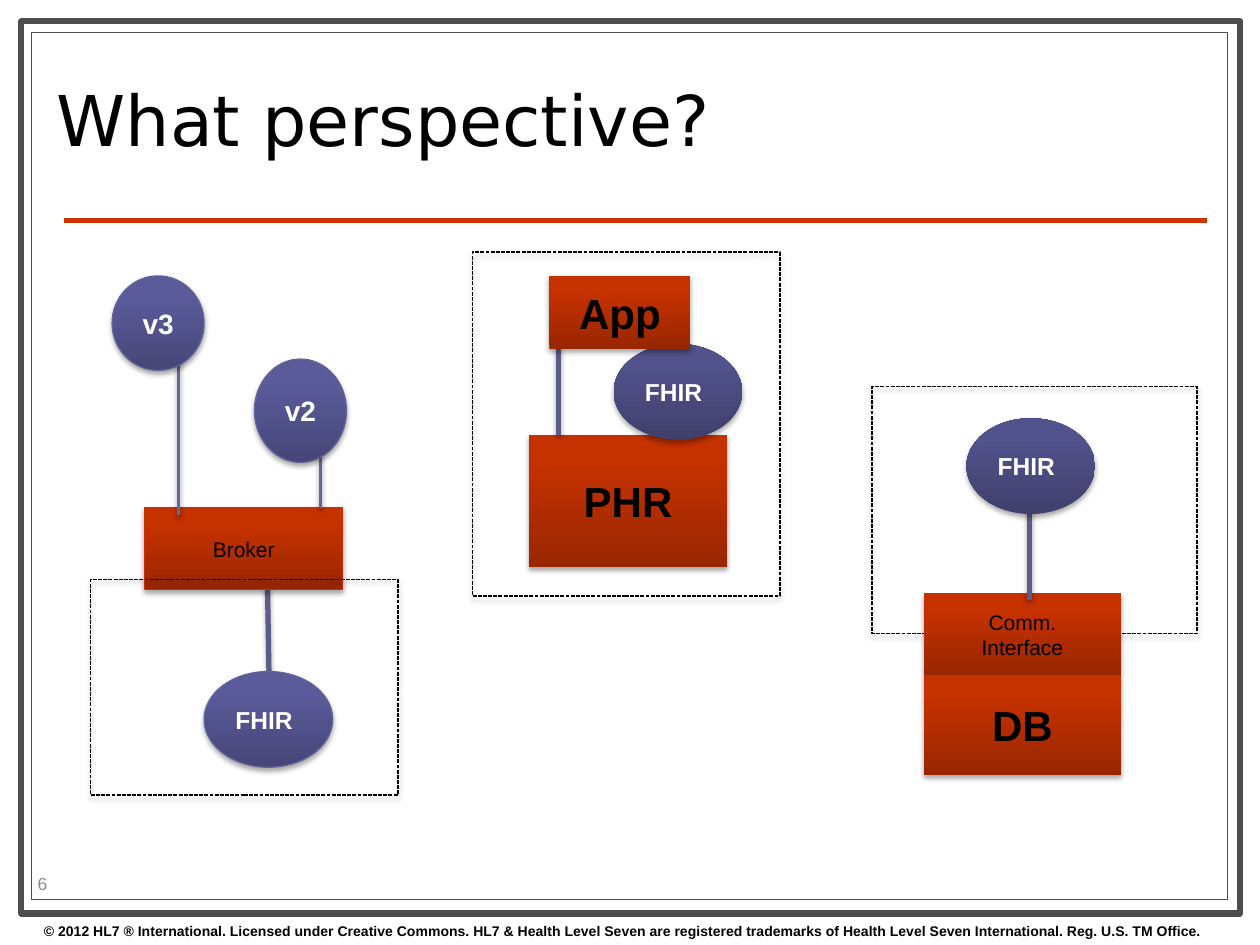
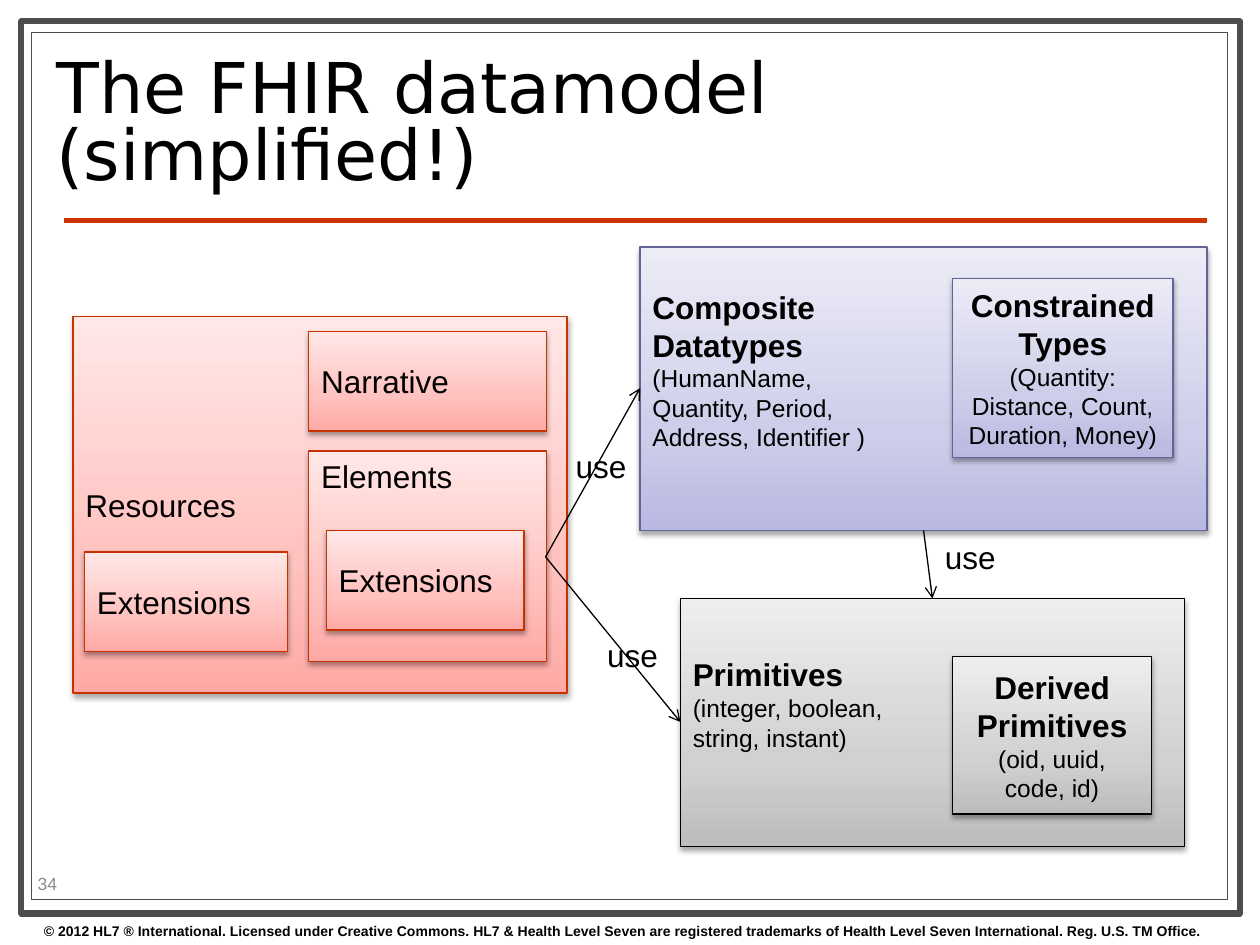
"""Build two slides on FHIR perspectives and its simplified data model."""
from dataclasses import dataclass

from lxml.etree import SubElement
from pptx import Presentation
from pptx.dml.color import RGBColor
from pptx.enum.dml import MSO_LINE
from pptx.enum.shapes import MSO_CONNECTOR, MSO_SHAPE
from pptx.enum.text import MSO_ANCHOR, MSO_AUTO_SIZE, PP_ALIGN
from pptx.oxml.ns import qn
from pptx.util import Inches, Pt

COPYRIGHT = (
    "© 2012 HL7 ® International. Licensed under Creative Commons. "
    "HL7 & Health Level Seven are registered trademarks of "
    "Health Level Seven International. Reg. U.S. TM Office."
)


@dataclass(frozen=True)
class Theme:
    title_font: str = "DejaVu Sans"
    body_font: str = "Arial"
    black: str = "000000"
    white: str = "FFFFFF"
    frame: str = "4D4D4D"
    rule: str = "CC3300"
    number: str = "8C8C8C"
    red_line: str = "C83200"
    purple_line: str = "636397"
    link: str = "5C5C8A"
    thin_link: str = "666699"
    red: tuple = ((0, "982600"), (80, "C63100"), (100, "C73200"))
    purple: tuple = ((0, "464678"), (80, "5B5B9C"), (100, "5B5B9E"))
    dark_purple: tuple = ((0, "40406C"), (80, "52528C"), (100, "52528E"))
    pink: tuple = ((0, "FFA9A5"), (35, "FFC2BF"), (100, "FFE8E7"))
    gray: tuple = ((0, "BDBDBD"), (35, "D1D1D1"), (100, "EEEEEE"))
    lilac: tuple = ((0, "B9B9E2"), (35, "CECEEA"), (100, "ECECF7"))
    title_size: int = 40
    large: int = 24
    heading: int = 18
    version: int = 16
    detail: int = 14
    label: int = 12
    number_size: int = 10
    footer_size: int = 8


THEME = Theme()


class SlideBuilder:
    """Hold the theme and the current slide, and draw each kind of element."""

    def __init__(self, deck, theme):
        self.deck = deck
        self.theme = theme
        self.slide = None

    def new_slide(self, title, number):
        theme = self.theme
        self.slide = self.deck.slides.add_slide(self.deck.slide_layouts[5])
        for area, width in (((0.17, 0.17, 9.67, 7.08), 3.5),
                            ((0.25, 0.26, 9.49, 6.88), 0.75)):
            self.shape(area, line=theme.frame, line_width=width, shadow=False)
        self.line((0.51, 1.75), (9.58, 1.75), theme.rule, 3)
        self.textbox((0.25, 7.27, 9.7, 0.23), COPYRIGHT, theme.footer_size, bold=True)
        self.title(title)
        box = self.textbox((0.2, 6.89, 0.79, 0.24), number, theme.number_size,
                           color=theme.number)
        box.text_frame.vertical_anchor = MSO_ANCHOR.MIDDLE

    def title(self, text):
        box = self.slide.shapes.title
        box.left, box.top, box.width, box.height = map(Inches, (0.35, 0.36, 7.17, 1.29))
        frame = box.text_frame
        frame.text = text
        frame.word_wrap = True
        frame.auto_size = MSO_AUTO_SIZE.NONE
        frame.vertical_anchor = MSO_ANCHOR.MIDDLE
        para = frame.paragraphs[0]
        para.alignment = PP_ALIGN.LEFT
        para.line_spacing = 0.8
        self.format_runs(para, self.theme.title_size, self.theme.black,
                         font=self.theme.title_font)

    def format_runs(self, para, size, color, bold=False, font=None):
        for span in para.runs:
            span.font.name = font or self.theme.body_font
            span.font.size = Pt(size)
            span.font.bold = bold
            span.font.color.rgb = RGBColor.from_string(color)

    def textbox(self, area, text, size, bold=False, color=None, wrap=True):
        box = self.slide.shapes.add_textbox(*map(Inches, area))
        box.text_frame.word_wrap = wrap
        self.set_lines(box, [(text, size, bold)], color or self.theme.black,
                       PP_ALIGN.LEFT)
        return box

    def set_lines(self, box, lines, color, align):
        frame = box.text_frame
        frame.text = "\n".join(text for text, _, _ in lines)
        for para, (_, size, bold) in zip(frame.paragraphs, lines):
            para.alignment = align
            self.format_runs(para, size, color, bold)

    def shape(self, area, gradient=None, line=None, lines=(), kind=MSO_SHAPE.RECTANGLE,
              color=None, align=PP_ALIGN.CENTER, anchor=MSO_ANCHOR.MIDDLE,
              line_width=0.75, shadow=True):
        shape = self.slide.shapes.add_shape(kind, *map(Inches, area))
        if gradient:
            self.fill_gradient(shape, gradient)
        else:
            shape.fill.background()
        if line:
            shape.line.color.rgb = RGBColor.from_string(line)
            shape.line.width = Pt(line_width)
        else:
            shape.line.fill.background()
        shape.shadow.inherit = False
        if shadow:
            self.cast_shadow(shape.element.spPr.find(qn("a:effectLst")))
        if lines:
            shape.text_frame.word_wrap = True
            shape.text_frame.vertical_anchor = anchor
            self.set_lines(shape, lines, color or self.theme.black, align)
        return shape

    def fill_gradient(self, shape, stops):
        shape.fill.gradient()
        shape.fill.gradient_angle = 90
        stop_list = shape.element.spPr.find(qn("a:gradFill")).find(qn("a:gsLst"))
        for stop in list(stop_list):
            stop_list.remove(stop)
        for position, color in stops:
            stop = SubElement(stop_list, qn("a:gs"), pos=str(position * 1000))
            SubElement(stop, qn("a:srgbClr"), val=color)

    def cast_shadow(self, effects):
        outer = SubElement(effects, qn("a:outerShdw"), blurRad=str(Pt(3.1)),
                           dist=str(Pt(1.8)), dir="5400000", rotWithShape="0")
        color = SubElement(outer, qn("a:srgbClr"), val=self.theme.black)
        SubElement(color, qn("a:alpha"), val="35000")

    def line(self, start, end, color, width, shadow=False, arrow=False):
        line = self.slide.shapes.add_connector(
            MSO_CONNECTOR.STRAIGHT, *map(Inches, (*start, *end)))
        line.line.color.rgb = RGBColor.from_string(color)
        line.line.width = Pt(width)
        properties = line.element.spPr
        if arrow:
            SubElement(properties.find(qn("a:ln")), qn("a:tailEnd"), type="arrow")
        effects = SubElement(properties, qn("a:effectLst"))
        if shadow:
            self.cast_shadow(effects)

    def link(self, start, end):
        self.line(start, end, self.theme.link, 3, shadow=True)

    def scope(self, area):
        box = self.shape(area, line=self.theme.black)
        box.line.dash_style = MSO_LINE.SQUARE_DOT

    def system(self, area, *names, size=None, line=None):
        lines = [(name, size or self.theme.large, size is None) for name in names]
        self.shape(area, self.theme.red, line, lines)

    def fhir(self, left, top, gradient, line=None):
        self.shape((left, top, 1.02, 0.76), gradient, line,
                   [("FHIR", self.theme.detail, True)], MSO_SHAPE.OVAL,
                   self.theme.white, PP_ALIGN.LEFT)

    def version(self, name, area, foot):
        left, top, width, height = area
        stem = left + 0.525
        self.line((stem, foot), (stem, top + height / 2), self.theme.thin_link, 2,
                  shadow=True)
        self.shape(area, self.theme.purple, self.theme.purple_line,
                   [(name, self.theme.version, True)], MSO_SHAPE.OVAL, self.theme.white)

    def resource(self, name, area, anchor=MSO_ANCHOR.MIDDLE):
        self.shape(area, self.theme.pink, self.theme.red_line,
                   [(name, self.theme.heading, False)], align=PP_ALIGN.LEFT,
                   anchor=anchor)

    def datatype(self, area, gradient, line, headings, details, align=PP_ALIGN.CENTER):
        lines = [(text, self.theme.heading, True) for text in headings]
        lines += [(text, self.theme.detail, False) for text in details]
        box = self.shape(area, gradient, line, lines, align=align)
        if align == PP_ALIGN.LEFT:
            box.text_frame.margin_bottom = Inches(0.35)

    def use(self, start, end, label_left, label_top):
        self.line(start, end, self.theme.black, 0.75, arrow=True)
        self.textbox((label_left, label_top, 0.61, 0.4), "use", self.theme.heading,
                     wrap=False)


def build_perspectives(page):
    theme = page.theme
    page.new_slide("What perspective?", "6")

    page.link((2.12, 4.47), (2.14, 5.64))
    page.fhir(1.62, 5.33, theme.purple, theme.purple_line)
    page.system((1.15, 4.03, 1.57, 0.65), "Broker", size=theme.label, line=theme.red_line)
    page.version("v3", (0.89, 2.19, 0.73, 0.75), 4.09)
    page.scope((0.72, 4.6, 2.44, 1.71))
    page.version("v2", (2.02, 2.85, 0.73, 0.82), 4.03)

    page.system((4.2, 3.45, 1.57, 1.05), "PHR")
    page.link((4.43, 3.45), (4.43, 2.74))
    page.scope((3.75, 2, 2.44, 2.73))
    page.fhir(4.87, 2.73, theme.dark_purple)
    page.system((4.36, 2.19, 1.12, 0.58), "App")

    page.scope((6.92, 3.07, 2.58, 1.96))
    page.system((7.33, 4.71, 1.57, 0.65), "Comm.", "Interface", size=theme.label)
    page.system((7.33, 5.36, 1.57, 0.79), "DB")
    page.link((8.17, 4.76), (8.17, 3.96))
    page.fhir(7.67, 3.32, theme.dark_purple)


def build_datamodel(page):
    theme = page.theme
    page.new_slide("The FHIR datamodel (simplified!)", "34")

    page.resource("Resources", (0.58, 2.51, 3.92, 2.99))
    page.resource("Narrative", (2.45, 2.63, 1.89, 0.79))
    page.resource("Elements", (2.45, 3.58, 1.89, 1.67), MSO_ANCHOR.TOP)
    page.resource("Extensions", (2.59, 4.21, 1.57, 0.79))
    page.resource("Extensions", (0.67, 4.38, 1.61, 0.79))

    page.datatype((5.4, 4.75, 4, 1.97), theme.gray, theme.black, ["Primitives"],
                  ["(integer, boolean,", "string, instant)"], PP_ALIGN.LEFT)
    page.datatype((7.56, 5.21, 1.58, 1.25), theme.gray, theme.black,
                  ["Derived Primitives"], ["(oid, uuid,", "code, id)"])
    page.datatype((5.08, 1.96, 4.5, 2.25), theme.lilac, theme.purple_line,
                  ["Composite", "Datatypes"],
                  ["(HumanName,", "Quantity, Period,", "Address, Identifier )"],
                  PP_ALIGN.LEFT)
    page.datatype((7.56, 2.21, 1.75, 1.42), theme.lilac, theme.purple_line,
                  ["Constrained Types"], ["(Quantity: Distance, Count, Duration, Money)"])

    elements_edge = (4.33, 4.42)
    page.use(elements_edge, (5.08, 3.08), 4.47, 3.5)
    page.use(elements_edge, (5.4, 5.73), 4.72, 5)
    page.use((7.33, 4.21), (7.4, 4.75), 7.4, 4.22)


def main():
    deck = Presentation()
    deck.slide_width = Inches(10)
    deck.slide_height = Inches(7.5)
    page = SlideBuilder(deck, THEME)
    build_perspectives(page)
    build_datamodel(page)
    deck.save("out.pptx")


if __name__ == "__main__":
    main()
